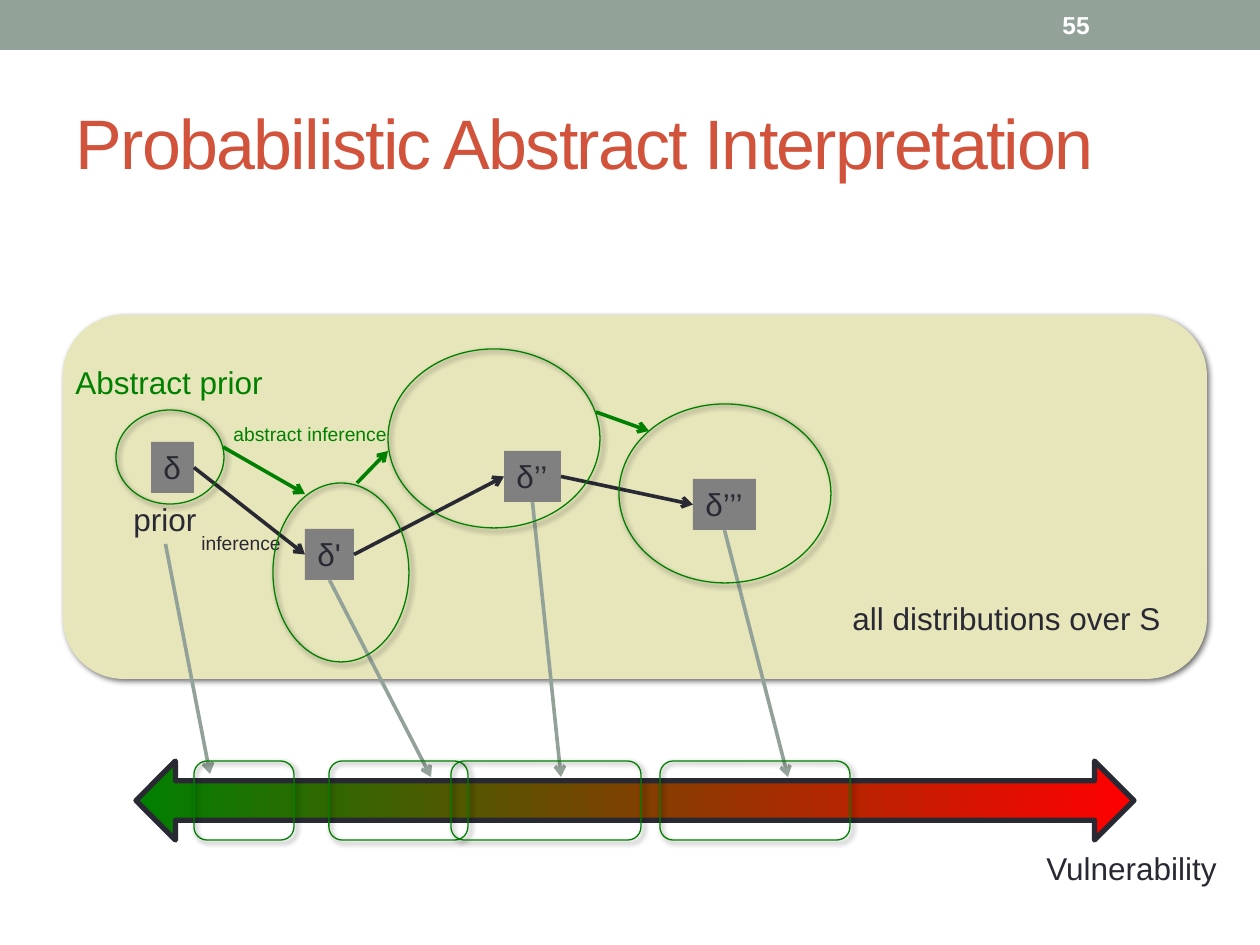
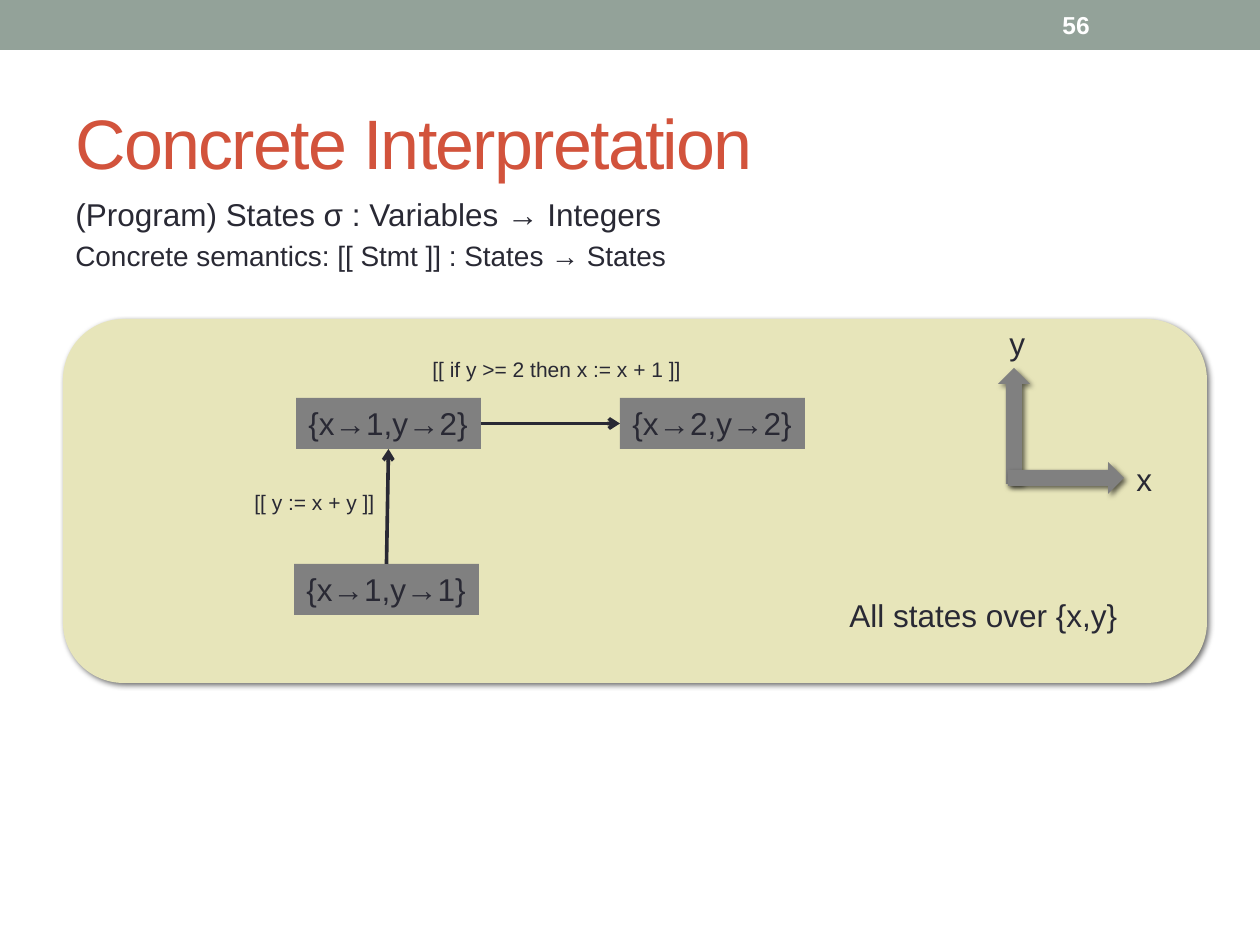
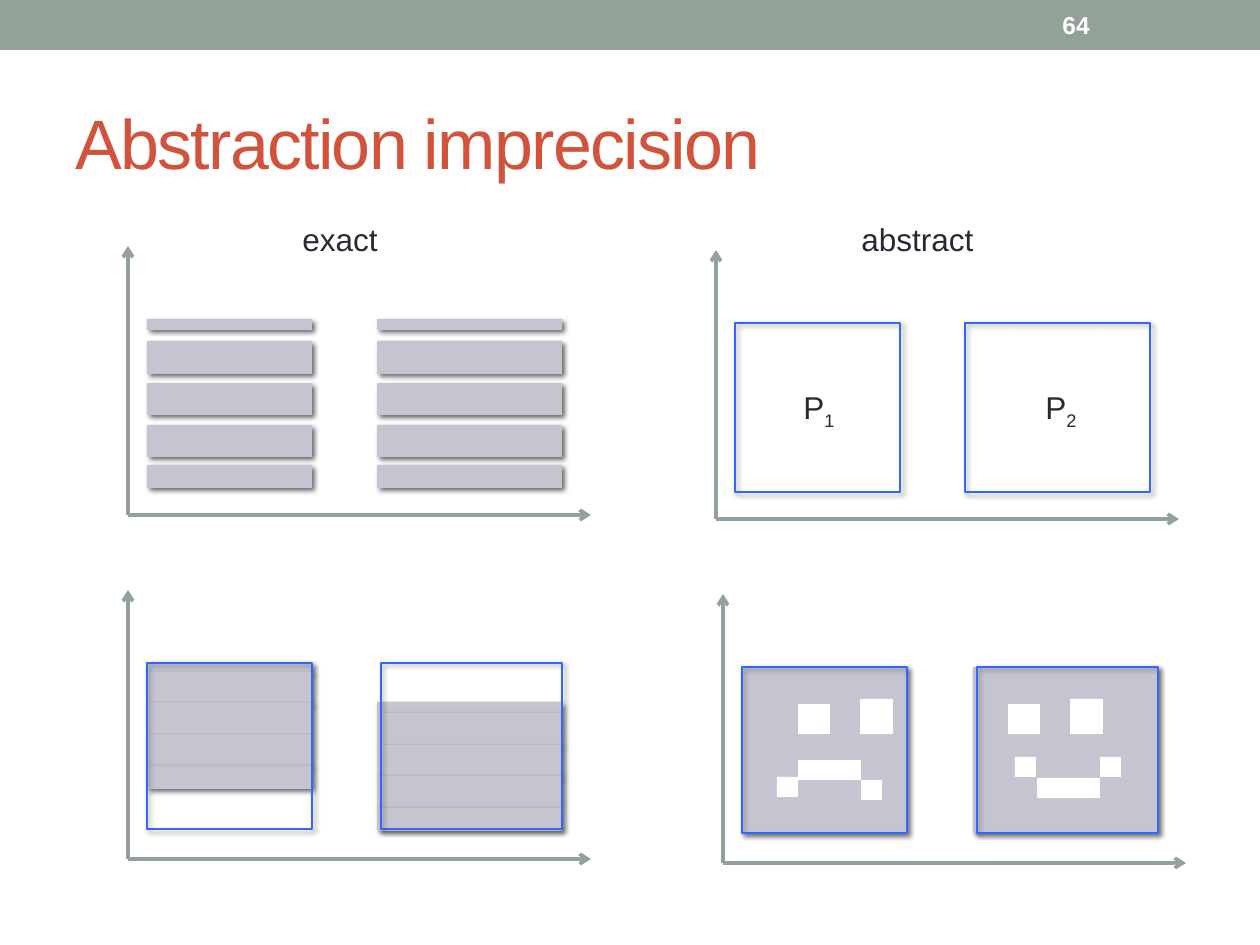
from dataclasses import dataclass

from pptx import Presentation
from pptx import util as u
from pptx.dml.color import RGBColor
from pptx.enum import shapes, text
from pptx.oxml import parse_xml
from pptx.oxml.ns import nsdecls, qn
from pptx.oxml.xmlchemy import OxmlElement


@dataclass(frozen=True)
class Theme:
    font: str = "Arial"
    ink: str = "292934"
    sage: str = "93A299"
    rust: str = "D2533C"
    sand: str = "E7E5BA"
    grey: str = "808080"
    lilac: str = "C5C5D1"
    green: str = "008000"
    red: str = "FF0000"
    blue: str = "3366FF"
    white: str = "FFFFFF"
    title: int = 40
    body: int = 18
    semantics: int = 16
    number: int = 14
    statement: int = 12
    small: int = 11


T = Theme()
PX = u.Inches(1) / 126
KIND = shapes.MSO_SHAPE
TOP, LEFT, BOTTOM, RIGHT = range(4)
SHADOW = (f'<a:outerShdw {nsdecls("a")} blurRad="38100" dist="25400" dir="2700000" '
          'rotWithShape="0"><a:srgbClr val="000000"><a:alpha val="60000"/>'
          '</a:srgbClr></a:outerShdw>')


def place(slide, kind, box, words="", size=T.body, color=T.ink,
          fill=None, line=None, shadow=False):
    """Add a preset shape, or a text box when kind is None."""
    box = [round(v * PX) for v in box]
    if kind is None:
        item = slide.shapes.add_textbox(*box)
    else:
        item = slide.shapes.add_shape(kind, *box)
        item.shadow.inherit = False
        if fill:
            item.fill.solid()
            item.fill.fore_color.rgb = RGBColor.from_string(fill)
        else:
            item.fill.background()
        if line:
            item.line.color.rgb = RGBColor.from_string(line)
            item.line.width = u.Pt(0.75)
        else:
            item.line.fill.background()
        if shadow:
            item._element.spPr.find(qn("a:effectLst")).append(parse_xml(SHADOW))
    if words:
        frame = item.text_frame
        frame.text = words
        frame.word_wrap = False
        frame.auto_size = text.MSO_AUTO_SIZE.SHAPE_TO_FIT_TEXT
        frame.vertical_anchor = text.MSO_ANCHOR.TOP
        for paragraph in frame.paragraphs:
            paragraph.alignment = text.PP_ALIGN.LEFT
            paragraph.font.name = T.font
            paragraph.font.size = u.Pt(size)
            paragraph.font.color.rgb = RGBColor.from_string(color)
    return item


def arrow(slide, start, end, color):
    """Draw an arrow; each end is a point (x, y) or a joint (shape, side)."""
    joined = [not isinstance(tip[0], int) for tip in (start, end)]
    points = [(0, 0) if joint else tip for tip, joint in zip((start, end), joined)]
    link = slide.shapes.add_connector(
        shapes.MSO_CONNECTOR.STRAIGHT, *[round(v * PX) for point in points for v in point])
    if joined[0]:
        link.begin_connect(*start)
    if joined[1]:
        link.end_connect(*end)
    link.line.color.rgb = RGBColor.from_string(color)
    link.line.width = u.Pt(2.08)
    head = OxmlElement("a:tailEnd")
    head.set("type", "arrow")
    properties = link._element.spPr
    properties.find(qn("a:ln")).append(head)
    properties.append(OxmlElement("a:effectLst"))


deck = Presentation()
deck.slide_width, deck.slide_height = round(1260 * PX), round(945 * PX)

# Shared band, page number and title
pages = []
for number, heading in (("55", "Probabilistic Abstract Interpretation"),
                        ("56", "Concrete Interpretation"),
                        ("64", "Abstraction imprecision")):
    page = deck.slides.add_slide(deck.slide_layouts[5])
    place(page, KIND.RECTANGLE, (0, 0, 1260, 50), fill=T.sage)
    counter = place(page, None, (1050, 2, 147, 45), number, T.number, T.white).text_frame
    counter.auto_size = text.MSO_AUTO_SIZE.NONE
    counter.word_wrap = True
    counter.vertical_anchor = text.MSO_ANCHOR.MIDDLE
    counter.paragraphs[0].font.bold = True

    title = page.shapes.title
    title.left, title.top, title.width, title.height = [
        round(v * PX) for v in (63, 73, 1134, 136)]
    title.text_frame.text = heading
    title.text_frame.auto_size = text.MSO_AUTO_SIZE.NONE
    title.text_frame.vertical_anchor = text.MSO_ANCHOR.MIDDLE
    line = title.text_frame.paragraphs[0]
    line.alignment = text.PP_ALIGN.LEFT
    line.font.name = T.font
    line.font.size = u.Pt(T.title)
    line.font.color.rgb = RGBColor.from_string(T.rust)
    line.runs[0]._r.get_or_add_rPr().set("spc", "-100")
    pages.append(page)
probabilistic, concrete, imprecision = pages

# Probabilistic interpretation: distributions and inference steps
place(probabilistic, KIND.ROUNDED_RECTANGLE, (63, 315, 1144, 364), fill=T.sand, shadow=True)
place(probabilistic, None, (840, 593, 336, 50), "all distributions over S")
deltas = [place(probabilistic, KIND.RECTANGLE, (x, y, width, 51), name, fill=T.grey)
          for x, y, width, name in ((151, 442, 43, "δ"), (305, 529, 49, "δ'"),
                                    (504, 451, 57, "δ’’"), (693, 479, 63, "δ’’’"))]
for before, after in zip(deltas, deltas[1:]):
    arrow(probabilistic, (before, RIGHT), (after, LEFT), T.ink)
prior = place(probabilistic, None, (121, 494, 89, 50), "prior")
place(probabilistic, None, (189, 525, 106, 37), "inference", T.small)

# Vulnerability scale
scale = place(probabilistic, KIND.LEFT_RIGHT_ARROW, (136, 761, 998, 79), line=T.ink)
scale.line.width = u.Pt(3)
scale.fill.gradient()
scale.fill.gradient_angle = 0
for stop, position, color in zip(scale.fill.gradient_stops, (0, 1), (T.green, T.red)):
    stop.position = position
    stop.color.rgb = RGBColor.from_string(color)
place(probabilistic, None, (1034, 843, 199, 50), "Vulnerability")
for source, target in zip([prior] + deltas[1:],
                          ((210, 774), (431, 777), (561, 777), (788, 777))):
    arrow(probabilistic, (source, BOTTOM), target, T.sage)

# Abstract regions and their vulnerability ranges
for region in ((116, 410, 108, 94), (273, 483, 136, 179),
               (388, 349, 212, 179), (619, 404, 212, 179)):
    place(probabilistic, KIND.OVAL, region, line=T.green, shadow=True)
for x, width in ((194, 100), (329, 139), (451, 190), (660, 190)):
    place(probabilistic, KIND.ROUNDED_RECTANGLE, (x, 761, width, 79),
          line=T.green, shadow=True)
place(probabilistic, None, (63, 357, 217, 50), "Abstract prior", color=T.green)
place(probabilistic, None, (221, 416, 184, 37), "abstract inference", T.small, T.green)
for start, end in (((223, 447), (305, 494)), ((357, 483), (388, 451)),
                   ((596, 412), (649, 431))):
    arrow(probabilistic, start, end, T.green)

# Concrete interpretation: definitions
definitions = place(concrete, None, (63, 189, 1134, 116),
                    "(Program) States σ : Variables → Integers\n"
                    "Concrete semantics: [[ Stmt ]] : States → States").text_frame
definitions.word_wrap = True
definitions.auto_size = text.MSO_AUTO_SIZE.NONE
for paragraph, size in zip(definitions.paragraphs, (T.body, T.semantics)):
    paragraph.font.size = u.Pt(size)
    paragraph.space_before = u.Pt(size * 0.2)

# Concrete states and statements
place(concrete, KIND.ROUNDED_RECTANGLE, (63, 319, 1144, 364), fill=T.sand, shadow=True)
place(concrete, None, (837, 590, 297, 50), "All states over {x,y}")
states = [place(concrete, KIND.RECTANGLE, (x, y, 185, 51), state, fill=T.grey)
          for x, y, state in ((294, 564, "{x→1,y→1}"), (296, 398, "{x→1,y→2}"),
                              (620, 398, "{x→2,y→2}"))]
arrow(concrete, (states[0], TOP), (states[1], BOTTOM), T.ink)
arrow(concrete, (states[1], RIGHT), (states[2], LEFT), T.ink)
place(concrete, None, (242, 483, 147, 38), "[[ y := x + y ]]", T.statement)
place(concrete, None, (420, 350, 276, 38), "[[ if y >= 2 then x := x + 1 ]]", T.statement)

# Axis directions
for x, y, turn in ((998, 368, 0), (1050, 420, 90)):
    direction = place(concrete, KIND.UP_ARROW, (x, y, 32, 116), fill=T.grey, shadow=True)
    direction.rotation = turn
place(concrete, None, (1124, 454, 42, 50), "x")
place(concrete, None, (997, 318, 43, 50), "y")

# Imprecision: axes of the four plots
for x, y in ((128, 515), (716, 519), (128, 859), (723, 863)):
    arrow(imprecision, (x, y), (x, y - 269), T.sage)
    arrow(imprecision, (x, y), (x + 463, y), T.sage)
place(imprecision, None, (290, 214, 102, 50), "exact")
place(imprecision, None, (849, 214, 139, 50), "abstract")

# Exact stripes, apart above and stacked below
for x, width, tops in ((147, 165, (319, 341, 383, 425, 465)),
                       (377, 185, (319, 341, 383, 425, 465)),
                       (147, 165, (663, 672, 703, 735, 766)),
                       (377, 185, (702, 713, 745, 776, 808))):
    for y, height in zip(tops, (11, 33, 32, 32, 23)):
        place(imprecision, KIND.RECTANGLE, (x, y, width, height), fill=T.lilac, shadow=True)

# Filled abstract regions, then all outlines
for x, width in ((742, 165), (973, 185)):
    place(imprecision, KIND.RECTANGLE, (x, 667, width, 166), fill=T.lilac, shadow=True)
for outline in ((735, 323, 165, 169), (965, 323, 185, 169),
                (147, 663, 165, 166), (381, 663, 181, 166),
                (742, 667, 165, 166), (977, 667, 181, 166)):
    place(imprecision, KIND.RECTANGLE, outline, line=T.blue, shadow=True)

# Region names with subscripts
for x, index in ((791, "1"), (1033, "2")):
    region_name = place(imprecision, None, (x, 382, 58, 50), "P").text_frame.paragraphs[0]
    subscript = region_name.add_run()
    subscript.text = index
    subscript._r.get_or_add_rPr().set("baseline", "-25000")

# Faces: two eyes and a mouth of small blocks
for eye, mouth in ((798, ((798, 760), (819, 760), (840, 760), (777, 777), (861, 780))),
                   (1008, ((1037, 778), (1058, 778), (1079, 778), (1015, 757), (1100, 757)))):
    blocks = [(eye, 704, 32, 30), (eye + 62, 699, 33, 35)]
    blocks += [(x, y, 21, 20) for x, y in mouth]
    for block in blocks:
        place(imprecision, KIND.RECTANGLE, block, fill=T.white)

deck.save("out.pptx")
